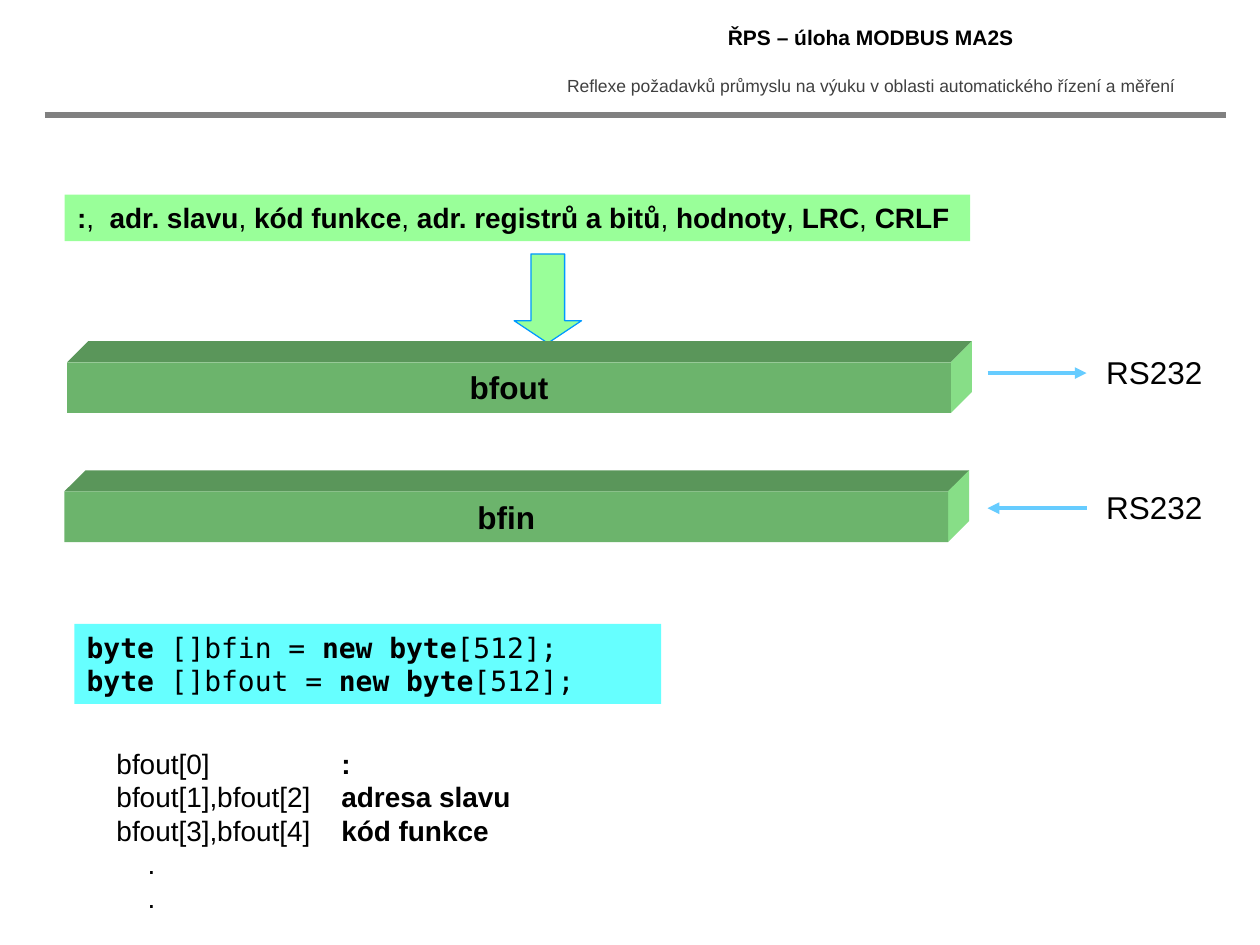
from lxml.etree import SubElement
from pptx import Presentation
from pptx.dml.color import RGBColor
from pptx.enum.shapes import MSO_CONNECTOR, MSO_SHAPE
from pptx.enum.text import MSO_ANCHOR, PP_ALIGN
from pptx.oxml.ns import qn
from pptx.util import Pt

SANS, MONO = "Arial", "DejaVu Sans Mono"
LIGHT_GREEN = "99FF99"


def rgb(value):
    """Turn a hex string into a colour."""
    return RGBColor.from_string(value)


def lengths(*values):
    """Turn point values into lengths."""
    return [Pt(v) for v in values]


def paint(sp, fill, line=None, width=0.75):
    """Give a shape a flat fill, an optional outline and no shadow."""
    sp.shadow.inherit = False
    sp.fill.solid()
    sp.fill.fore_color.rgb = rgb(fill)
    if line:
        sp.line.color.rgb = rgb(line)
        sp.line.width = Pt(width)
    else:
        sp.line.fill.background()


def write(sp, paragraphs, size, font=SANS, color="000000", align=PP_ALIGN.LEFT,
          wrap=True, anchor=MSO_ANCHOR.TOP):
    """Fill a shape with paragraphs, each a list of (text, bold) runs."""
    tf = sp.text_frame
    tf.word_wrap = wrap
    tf.vertical_anchor = anchor
    tf.margin_left = tf.margin_right = Pt(7.2)
    tf.margin_top = tf.margin_bottom = Pt(3.6)
    for i, runs in enumerate(paragraphs):
        p = tf.add_paragraph() if i else tf.paragraphs[0]
        p.alignment = align
        for text, bold in runs:
            r = p.add_run()
            r.text = text
            r.font.name, r.font.size, r.font.bold = font, Pt(size), bold
            r.font.color.rgb = rgb(color)
    return tf


def add_box(s, box, fill, preset=MSO_SHAPE.RECTANGLE, line=None):
    """Add a filled preset shape."""
    sp = s.shapes.add_shape(preset, *lengths(*box))
    paint(sp, fill, line)
    return sp


def add_line(s, start, end, color, width, arrow=False):
    """Add a straight line, with an arrowhead at its end if asked."""
    cx = s.shapes.add_connector(MSO_CONNECTOR.STRAIGHT, *lengths(*start, *end))
    cx.line.color.rgb = rgb(color)
    cx.line.width = Pt(width)
    if arrow:
        SubElement(cx.line._get_or_add_ln(), qn("a:tailEnd"), type="triangle")
    SubElement(cx._element.spPr, qn("a:effectLst"))


def add_face(s, points, fill):
    """Add one polygonal face of a bar."""
    first, *rest = [lengths(*pt) for pt in points]
    fb = s.shapes.build_freeform(*first, scale=1.0)
    fb.add_line_segments(rest, close=True)
    paint(fb.convert_to_shape(), fill)


def add_header(s, box):
    """Place the title, the subtitle and the rule below them."""
    x, y, w, h = box
    title = s.shapes.title
    title.left, title.top, title.width, title.height = lengths(x, y, w, 22)
    write(title, [[("ŘPS – úloha MODBUS MA2S", True)]], 12,
          align=PP_ALIGN.CENTER, anchor=MSO_ANCHOR.MIDDLE)
    sub = s.shapes.add_textbox(*lengths(x, y + 29.6, w, 19.4))
    write(sub, [[("Reflexe požadavků průmyslu na výuku v oblasti "
                  "automatického řízení a měření", False)]],
          10, color="404040", align=PP_ALIGN.CENTER)
    add_line(s, (25.5, y + h), (700.5, y + h), "808080", 3)


def add_message(s, box):
    """Place the message fields and the arrow that leads down from them."""
    x, y, w, h = box
    fields = ["adr. slavu", "kód funkce", "adr. registrů a bitů",
              "hodnoty", "LRC", "CRLF"]
    runs = [(":", True), (",  ", False)]
    for i, field in enumerate(fields):
        runs += [(", ", False)] * (i > 0) + [(field, True)]
    write(add_box(s, (x, y, w, h), LIGHT_GREEN), [runs], 16)
    arrow = add_box(s, (x + 256.8, y + h + 7.2, 38.5, 51), LIGHT_GREEN,
                    MSO_SHAPE.DOWN_ARROW, "0099FF")
    arrow.adjustments[0], arrow.adjustments[1] = 0.5, 0.333


def add_buffer(s, box, name, sends, port_y):
    """Place an extruded bar, its arrow and its port label."""
    x, y, w, h = box
    d = 12
    right, bottom = x + w, y + h
    add_face(s, [(x, y), (x + d, y - d), (right + d, y - d), (right, y)], "5A965A")
    add_face(s, [(right, y), (right + d, y - d), (right + d, bottom - d),
                 (right, bottom)], "87DE87")
    write(add_box(s, box, "6CB46C"), [[(name, True)]], 18, align=PP_ALIGN.CENTER)
    ends = [(564.3, port_y), (620.9, port_y)]
    add_line(s, *(ends if sends else ends[::-1]), "66CCFF", 2.25, arrow=True)
    label = s.shapes.add_textbox(*lengths(625, port_y - 15.1, 70, 29))
    write(label, [[("RS232", False)]], 18, wrap=False)


def add_code(s, box):
    """Place the declarations of both buffers."""
    lines = [[("byte", True), (f" []{name} = ", False),
              ("new byte", True), ("[512];", False)] for name in ("bfin", "bfout")]
    write(add_box(s, box, "66FFFF"), lines, 16, MONO, wrap=False)


def add_layout(s, box):
    """Place the list of bytes in the output buffer, in two columns."""
    rows = [("bfout[0]", ":"), ("bfout[1],bfout[2]", "adresa slavu"),
            ("bfout[3],bfout[4]", "kód funkce")]
    lines = [[(cell + "\t", False), (meaning, True)] for cell, meaning in rows]
    lines += [[(".", False)]] * 2
    tf = write(s.shapes.add_textbox(*lengths(*box)), lines, 16)
    for i, p in enumerate(tf.paragraphs):
        pPr = p._p.get_or_add_pPr()
        if i < len(rows):
            tabs = SubElement(pPr, qn("a:tabLst"))
            SubElement(tabs, qn("a:tab"), pos=str(Pt(128.5)), algn="l")
        else:
            pPr.set("marL", str(Pt(17.8)))
            pPr.set("indent", "0")


prs = Presentation()
prs.slide_width, prs.slide_height = lengths(720, 540)
s = prs.slides.add_slide(prs.slide_layouts[5])
add_header(s, (309.6, 10, 376, 55.7))
add_message(s, (37, 111.3, 517.5, 26.6))
add_buffer(s, (38.4, 207, 505, 29), "bfout", True, 213.2)
add_buffer(s, (36.8, 280.8, 505, 29), "bfin", False, 290.4)
add_code(s, (42.5, 356.5, 335.4, 45.8))
add_layout(s, (59.5, 422.8, 241, 104))
prs.save("out.pptx")
